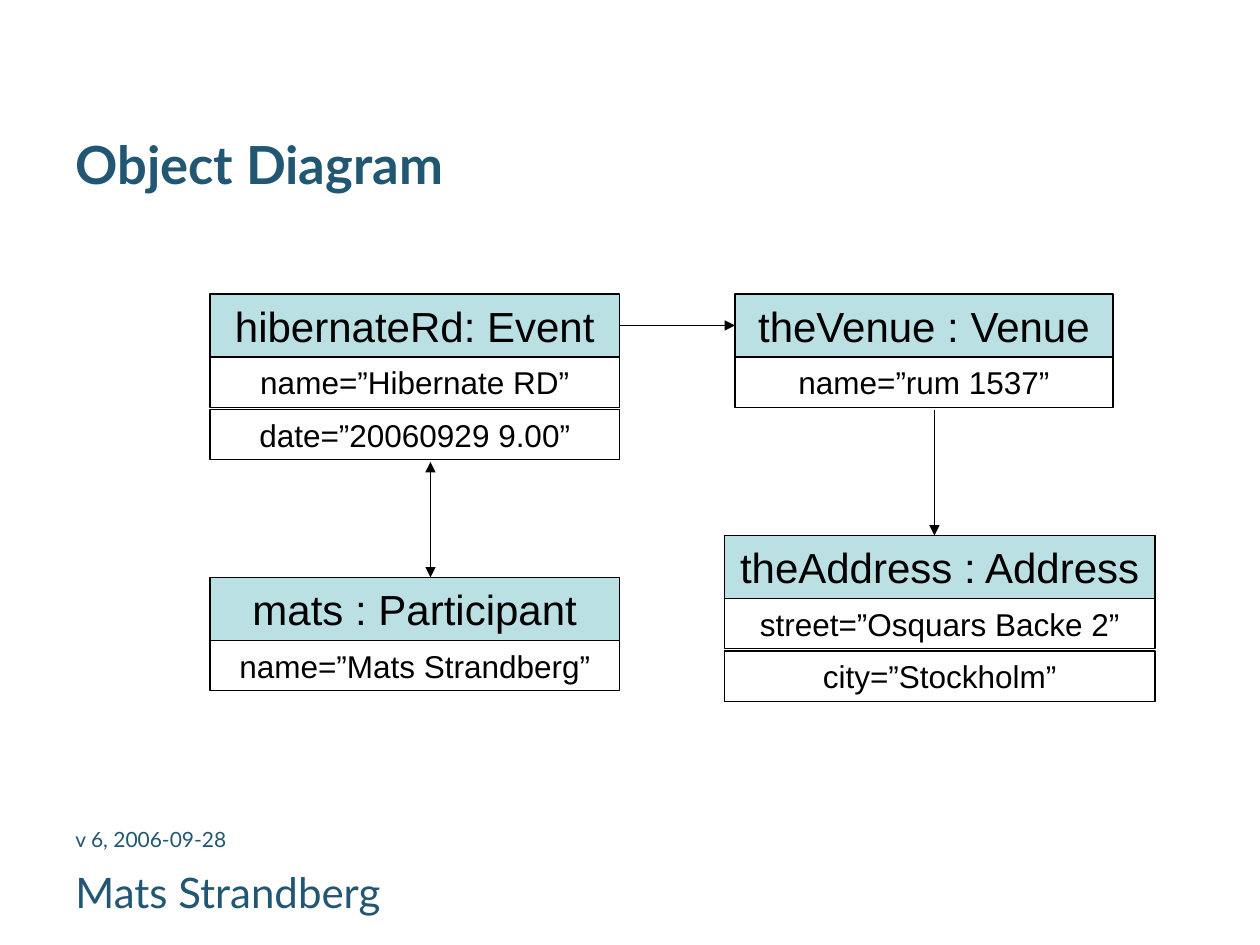
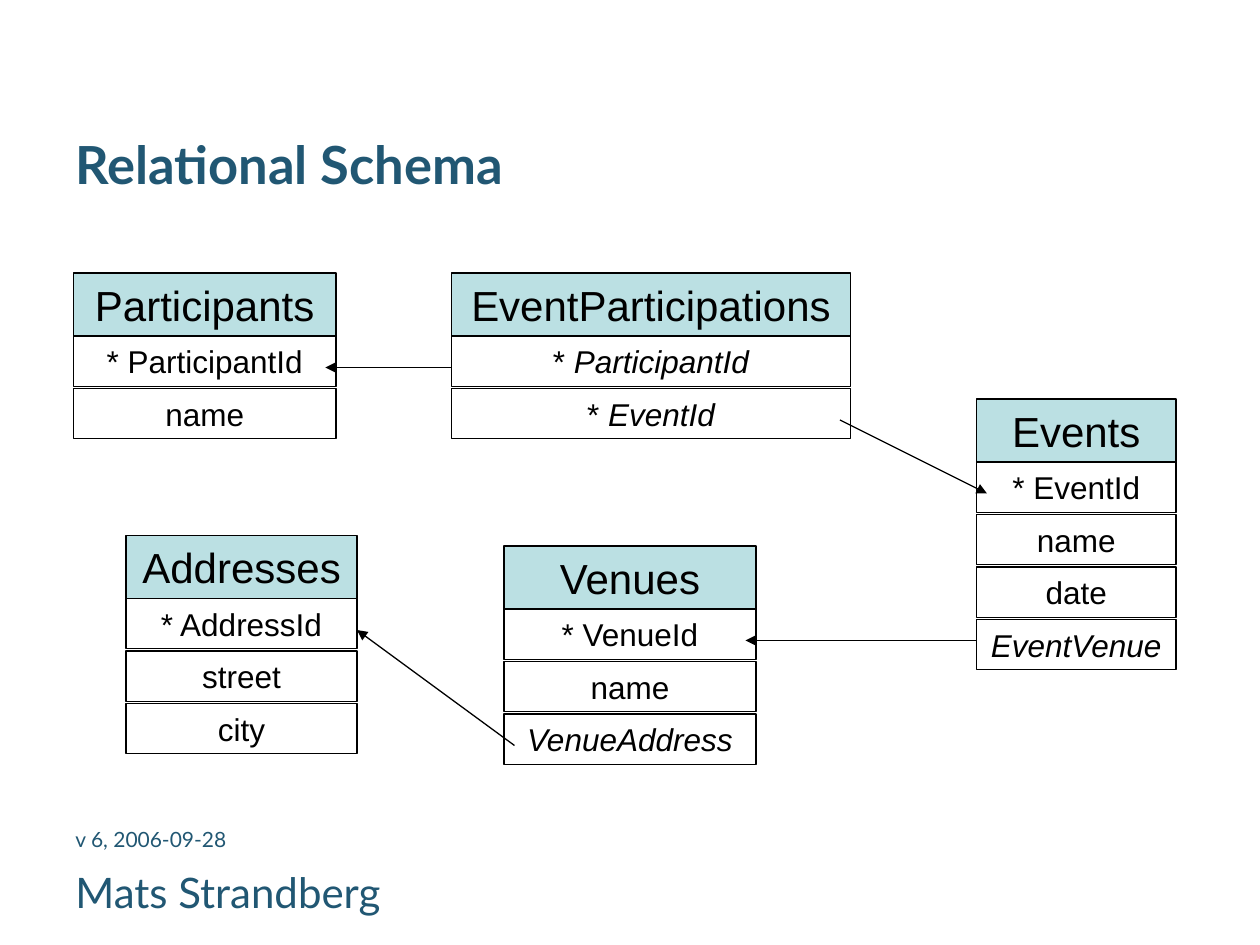
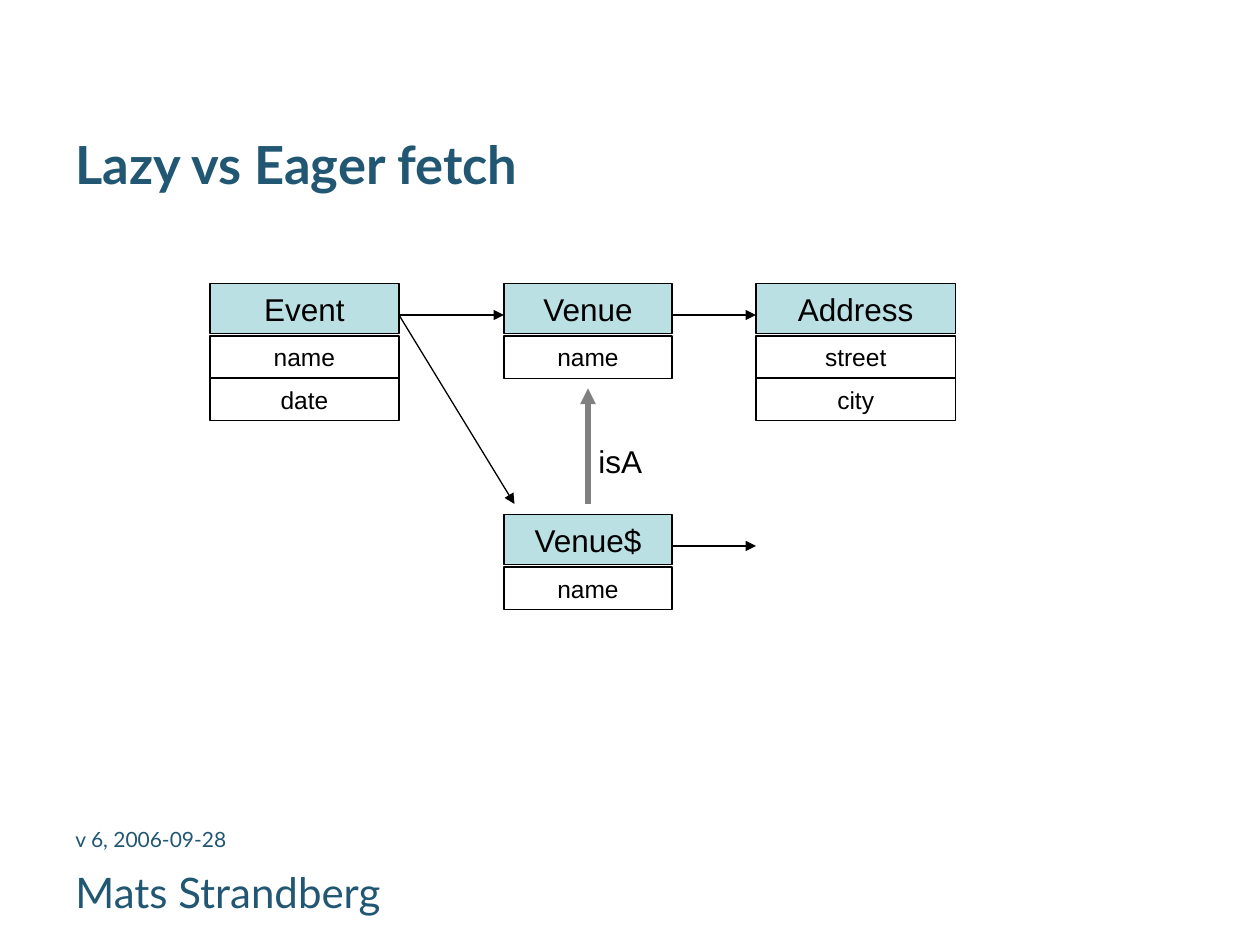
from dataclasses import dataclass

from lxml.etree import SubElement
from pptx import Presentation
from pptx.dml.color import RGBColor
from pptx.enum.shapes import MSO_CONNECTOR, MSO_SHAPE
from pptx.enum.text import MSO_ANCHOR, MSO_AUTO_SIZE, PP_ALIGN
from pptx.oxml.ns import qn
from pptx.util import Inches, Pt

# Shared look
BLACK, GREY, TEAL, PALE = "000000", "808080", "215773", "BBE0E3"
BODY_FONT, TITLE_FONT = "Arial", "Lato"
RIGHT, LEFT = 3, 1

# The grid has 120 columns and 90 rows, so its cells are square
WIDTH, HEIGHT = Inches(10), Inches(7.5)
COLUMNS, ROWS = 120, 90


@dataclass(frozen=True)
class BoxStyle:
    head_size: int
    head_height: float
    head_pitch: float
    row_size: int
    row_height: float
    row_pitch: float


@dataclass(frozen=True)
class Entity:
    """A named box with one row per field; text after "_" is italic."""
    name: str
    col: float
    row: float
    width: float
    fields: tuple[str, ...]


@dataclass(frozen=True)
class Arrow:
    start: tuple[float, float]
    end: tuple[float, float]
    both_ways: bool = False
    color: str = BLACK
    width: float = 0.75
    joins: tuple[str, str] | None = None  # heads joined right to left


@dataclass(frozen=True)
class Label:
    text: str
    col: float
    row: float
    width: float
    height: float
    size: int
    font: str = TITLE_FONT
    color: str = TEAL
    wrap: bool = True


@dataclass(frozen=True)
class Diagram:
    title: str
    style: BoxStyle
    entities: tuple[Entity, ...]
    arrows: tuple[Arrow, ...]
    labels: tuple[Label, ...] = ()


LARGE = BoxStyle(24, 6, 6, 18, 4.8, 5)
SMALL = BoxStyle(18, 4.8, 5, 14, 4.04, 4)

FOOTERS = (
    Label("Mats Strandberg", 6, 81.95, 38, 6.2, 24),
    Label("v 6, 2006-09-28", 6, 78.1, 28, 4.7, 12),
)

# Slide contents
DIAGRAMS = (
    Diagram(
        "Object Diagram", LARGE,
        (
            Entity("hibernateRd: Event", 20, 28, 39,
                   ("name=”Hibernate RD”", "date=”20060929 9.00”")),
            Entity("mats : Participant", 20, 55, 39, ("name=”Mats Strandberg”",)),
            Entity("theVenue : Venue", 70, 28, 36, ("name=”rum 1537”",)),
            Entity("theAddress : Address", 69, 51, 41,
                   ("street=”Osquars Backe 2”", "city=”Stockholm”")),
        ),
        (
            Arrow((41, 44), (41, 55), both_ways=True),
            Arrow((89, 39), (89, 51)),
            Arrow((59, 31), (70, 31), joins=("hibernateRd: Event", "theVenue : Venue")),
        ),
    ),
    Diagram(
        "Relational Schema", LARGE,
        (
            Entity("Participants", 7, 26, 25, ("* ParticipantId", "name")),
            Entity("EventParticipations", 43, 26, 38,
                   ("* _ParticipantId", "* _EventId")),
            Entity("Events", 93, 38, 19, ("* EventId", "name", "date", "_EventVenue")),
            Entity("Venues", 48, 52, 24, ("* VenueId", "name", "_VenueAddress")),
            Entity("Addresses", 12, 51, 22, ("* AddressId", "street", "city")),
        ),
        (
            Arrow((80, 40), (94, 47)),
            Arrow((43, 35), (31, 35)),
            Arrow((93, 61), (71, 61)),
            Arrow((49, 71), (34, 60)),
        ),
    ),
    Diagram(
        "Lazy vs Eager fetch", SMALL,
        (
            Entity("Event", 20, 27, 18, ("name", "date")),
            Entity("Venue", 48, 27, 16, ("name",)),
            Entity("Address", 72, 27, 19, ("street", "city")),
            Entity("Venue$", 48, 49, 16, ("name",)),
        ),
        (
            Arrow((38, 30), (48, 30)),
            Arrow((64, 30), (72, 30)),
            Arrow((64, 52), (72, 52)),
            Arrow((56, 48), (56, 37), color=GREY, width=3),
            Arrow((38, 30), (49, 48)),
        ),
        (Label("isA", 55.8, 41.5, 6.6, 4.8, 18, BODY_FONT, BLACK, wrap=False),),
    ),
)


def rgb(color: str) -> RGBColor:
    return RGBColor.from_string(color)


def x(cols: float) -> int:
    return round(WIDTH * cols / COLUMNS)


def y(rows: float) -> int:
    return round(HEIGHT * rows / ROWS)


def format_runs(p, font: str, size: int, color: str, bold: bool = False) -> None:
    for r in p.runs:
        r.font.name, r.font.size, r.font.bold = font, Pt(size), bold
        r.font.color.rgb = rgb(color)


def draw_box(s, text: str, col: float, row: float, width: float,
             height: float, size: int, fill: str | None = None):
    sp = s.shapes.add_shape(MSO_SHAPE.RECTANGLE, x(col), y(row), x(width), y(height))
    sp.shadow.inherit = False
    if fill:
        sp.fill.solid()
        sp.fill.fore_color.rgb = rgb(fill)
    else:
        sp.fill.background()
    sp.line.color.rgb, sp.line.width = rgb(BLACK), Pt(0.75)
    tf = sp.text_frame
    tf.word_wrap, tf.auto_size = True, MSO_AUTO_SIZE.SHAPE_TO_FIT_TEXT
    p = tf.paragraphs[0]
    p.alignment = PP_ALIGN.CENTER
    plain, _, italic = text.partition("_")
    p.text = plain
    if italic:
        r = p.add_run()
        r.text, r.font.italic = italic, True
    format_runs(p, BODY_FONT, size, BLACK)
    return sp


def draw_entity(s, entity: Entity, style: BoxStyle):
    head = draw_box(s, entity.name, entity.col, entity.row, entity.width,
                    style.head_height, style.head_size, PALE)
    for i, field in enumerate(entity.fields):
        row = entity.row + style.head_pitch + i * style.row_pitch
        draw_box(s, field, entity.col, row, entity.width,
                 style.row_height, style.row_size)
    return head


def draw_arrow(s, arrow: Arrow, heads: dict) -> None:
    (x1, y1), (x2, y2) = arrow.start, arrow.end
    line = s.shapes.add_connector(MSO_CONNECTOR.STRAIGHT, x(x1), y(y1), x(x2), y(y2))
    line.line.color.rgb, line.line.width = rgb(arrow.color), Pt(arrow.width)
    ln = line._element.spPr.find(qn("a:ln"))
    for tag in ("a:headEnd", "a:tailEnd") if arrow.both_ways else ("a:tailEnd",):
        SubElement(ln, qn(tag), type="triangle")
    SubElement(line._element.spPr, qn("a:effectLst"))
    if arrow.joins:
        source, target = arrow.joins
        line.begin_connect(heads[source], RIGHT)
        line.end_connect(heads[target], LEFT)


def draw_label(s, label: Label) -> None:
    sp = s.shapes.add_textbox(x(label.col), y(label.row), x(label.width), y(label.height))
    tf = sp.text_frame
    tf.word_wrap = label.wrap
    if not label.wrap:
        tf.auto_size = MSO_AUTO_SIZE.SHAPE_TO_FIT_TEXT
    tf.text = label.text
    format_runs(tf.paragraphs[0], label.font, label.size, label.color)


def draw_title(s, text: str) -> None:
    title = s.shapes.title
    title.left, title.top, title.width, title.height = x(6), y(12), x(108), y(8.5)
    tf = title.text_frame
    tf.text = text
    tf.auto_size, tf.vertical_anchor = MSO_AUTO_SIZE.NONE, MSO_ANCHOR.TOP
    p = tf.paragraphs[0]
    p.alignment = PP_ALIGN.LEFT
    format_runs(p, TITLE_FONT, 30, TEAL, bold=True)


def draw_slide(prs, diagram: Diagram) -> None:
    s = prs.slides.add_slide(prs.slide_layouts[5])
    draw_title(s, diagram.title)
    heads = {e.name: draw_entity(s, e, diagram.style) for e in diagram.entities}
    for arrow in diagram.arrows:
        draw_arrow(s, arrow, heads)
    for label in diagram.labels + FOOTERS:
        draw_label(s, label)


def main() -> None:
    prs = Presentation()
    prs.slide_width, prs.slide_height = WIDTH, HEIGHT
    for diagram in DIAGRAMS:
        draw_slide(prs, diagram)
    prs.save("out.pptx")


if __name__ == "__main__":
    main()
